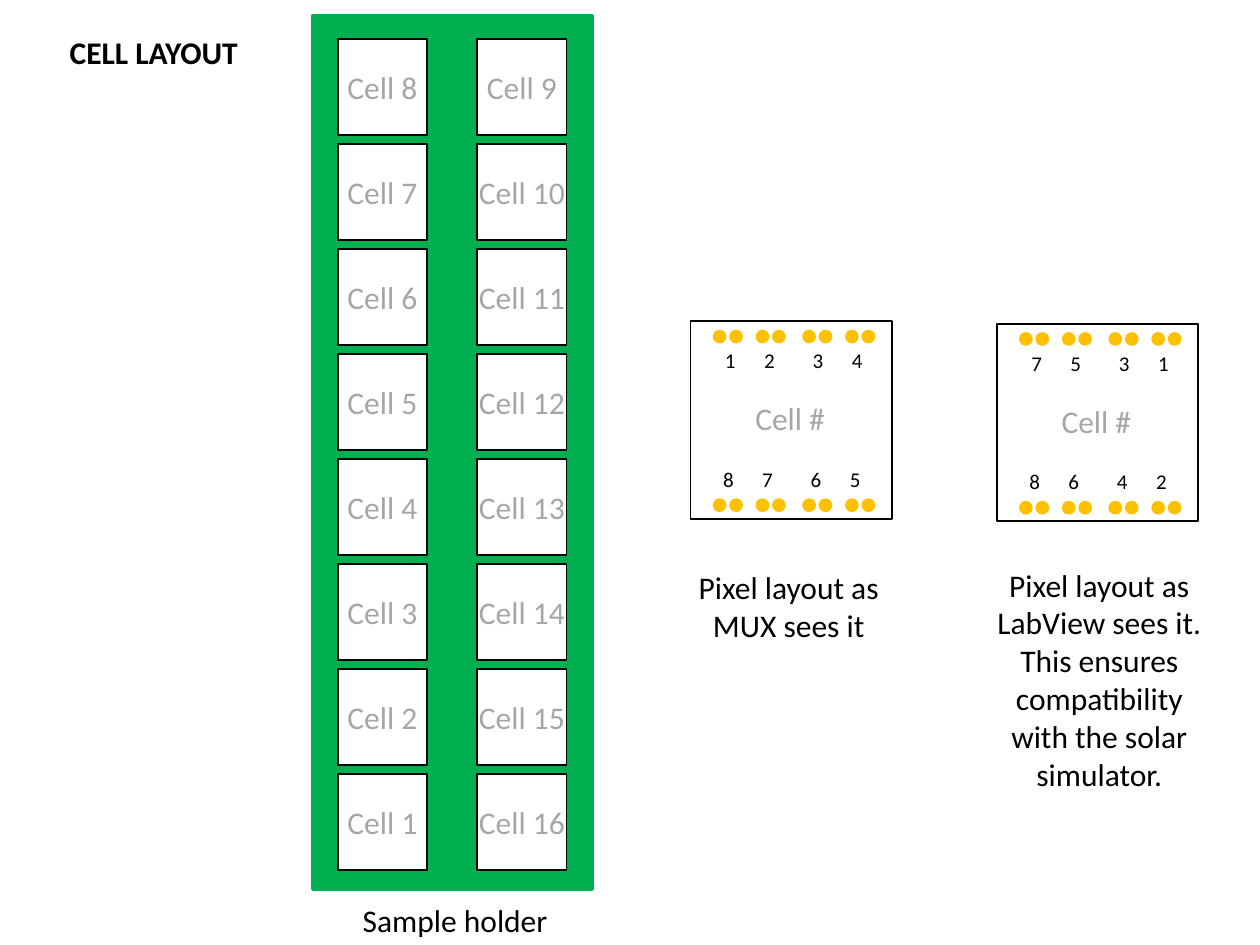
from lxml.etree import SubElement
from pptx import Presentation
from pptx.dml.color import RGBColor
from pptx.enum.shapes import MSO_SHAPE
from pptx.enum.text import MSO_ANCHOR, MSO_AUTO_SIZE, PP_ALIGN
from pptx.oxml.ns import qn
from pptx.util import Pt

COLORS = {
    "holder": "00B050",
    "contact": "FFC000",
    "cell": "FFFFFF",
    "outline": "000000",
    "text": "000000",
    "label": "A6A6A6",
}

ROWS = 8
ROW_PITCH = 60
CELL_TOP = 22.3
COLUMN_LEFTS = (193, 272.7)
CELL_WIDTH, CELL_HEIGHT = 51.1, 54.7
LABEL_WIDTH, LABEL_HEIGHT = 80.6, 28.8

CHIP_WIDTH, CHIP_HEIGHT = 115.2, 113
CONTACT_SIZE = 5.8
CONTACT_PAIRS = (13.7, 38.2, 64.8, 89.3)
CONTACT_GAP = 9.4
CONTACT_ROWS = (5.8, 102.2)
NUMBER_TABS = (22.35, 50.1, 72.45)


class SlideBuilder:
    """Holds the text style and the current slide; all lengths are points."""

    font = "Calibri"

    def __init__(self, slide):
        self.slide = slide

    def shape(self, kind, left, top, width, height, fill, line, line_width):
        shape = self.slide.shapes.add_shape(
            kind, Pt(left), Pt(top), Pt(width), Pt(height))
        shape.shadow.inherit = False
        shape.fill.solid()
        shape.fill.fore_color.rgb = RGBColor.from_string(COLORS[fill])
        shape.line.color.rgb = RGBColor.from_string(COLORS[line])
        shape.line.width = Pt(line_width)

    def styled_text(self, shape, text, size, color, align, bold=False):
        """Fill a text-bearing shape with one styled run."""
        frame = shape.text_frame
        frame.word_wrap = True
        frame.auto_size = MSO_AUTO_SIZE.SHAPE_TO_FIT_TEXT
        frame.vertical_anchor = MSO_ANCHOR.TOP
        paragraph = frame.paragraphs[0]
        paragraph.alignment = align
        run = paragraph.add_run()
        run.text = text
        run.font.name = self.font
        run.font.size = Pt(size)
        run.font.bold = bold
        run.font.color.rgb = RGBColor.from_string(COLORS[color])
        return paragraph

    def title(self, text, left, top, width, height):
        shape = self.slide.shapes.title
        shape.left, shape.top = Pt(left), Pt(top)
        shape.width, shape.height = Pt(width), Pt(height)
        self.styled_text(shape, text, 18, "text", PP_ALIGN.CENTER, bold=True)

    def text(self, text, left, top, width, height, size=18, color="text",
             align=PP_ALIGN.CENTER):
        box = self.slide.shapes.add_textbox(
            Pt(left), Pt(top), Pt(width), Pt(height))
        return self.styled_text(box, text, size, color, align)

    def label(self, text, left, top):
        self.text(text, left, top, LABEL_WIDTH, LABEL_HEIGHT, color="label")

    def cell(self, number, left, top):
        self.shape(MSO_SHAPE.RECTANGLE, left, top, CELL_WIDTH, CELL_HEIGHT,
                   "cell", "outline", 1)
        self.label(f"Cell {number}", left + (CELL_WIDTH - LABEL_WIDTH) / 2,
                   top + (CELL_HEIGHT - LABEL_HEIGHT) / 2)

    def pixel_numbers(self, numbers, left, top):
        """Add one row of pixel numbers, spaced by tab stops."""
        paragraph = self.text("\t".join(numbers), left, top, 95, 21.6,
                              size=12, align=PP_ALIGN.LEFT)
        tab_list = SubElement(paragraph._p.get_or_add_pPr(), qn("a:tabLst"))
        for position in NUMBER_TABS:
            SubElement(tab_list, qn("a:tab"), pos=str(Pt(position)), algn="l")

    def chip(self, left, top, upper_numbers, lower_numbers):
        """Draw one enlarged cell with its contacts and pixel numbers."""
        self.shape(MSO_SHAPE.RECTANGLE, left, top, CHIP_WIDTH, CHIP_HEIGHT,
                   "cell", "outline", 1)
        for row in CONTACT_ROWS:
            for pair in CONTACT_PAIRS:
                for offset in (pair, pair + CONTACT_GAP):
                    self.shape(MSO_SHAPE.OVAL, left + offset, top + row,
                               CONTACT_SIZE, CONTACT_SIZE,
                               "contact", "contact", 2)
        self.label("Cell #", left + 16.6, top + 41)
        self.pixel_numbers(upper_numbers, left + 12.6, top + 11.5)
        self.pixel_numbers(lower_numbers, left + 11.5, top + 79.2)


def main():
    presentation = Presentation()
    presentation.slide_width, presentation.slide_height = Pt(720), Pt(540)
    slide = presentation.slides.add_slide(presentation.slide_layouts[5])
    builder = SlideBuilder(slide)

    builder.title("CELL LAYOUT", 25.2, 15.1, 125.3, 28.8)

    builder.shape(MSO_SHAPE.RECTANGLE, 178.6, 9.2, 159.8, 499,
                  "holder", "holder", 2)
    left_column, right_column = COLUMN_LEFTS
    for row in range(ROWS):
        top = CELL_TOP + row * ROW_PITCH
        builder.cell(ROWS - row, left_column, top)
        builder.cell(ROWS + 1 + row, right_column, top)
    builder.text("Sample holder", 200.2, 511.2, 125.3, 28.8,
                 align=PP_ALIGN.LEFT)

    builder.chip(394.6, 183.6, "1234", "8765")
    builder.text("Pixel layout as MUX sees it", 388.1, 321.1, 125.3, 51.1)

    builder.chip(569.6, 185, "7531", "8642")
    builder.text("Pixel layout as LabView sees it. This ensures compatibility "
                 "with the solar simulator.", 558.7, 319.7, 139, 138.2)

    presentation.save("out.pptx")


if __name__ == "__main__":
    main()
